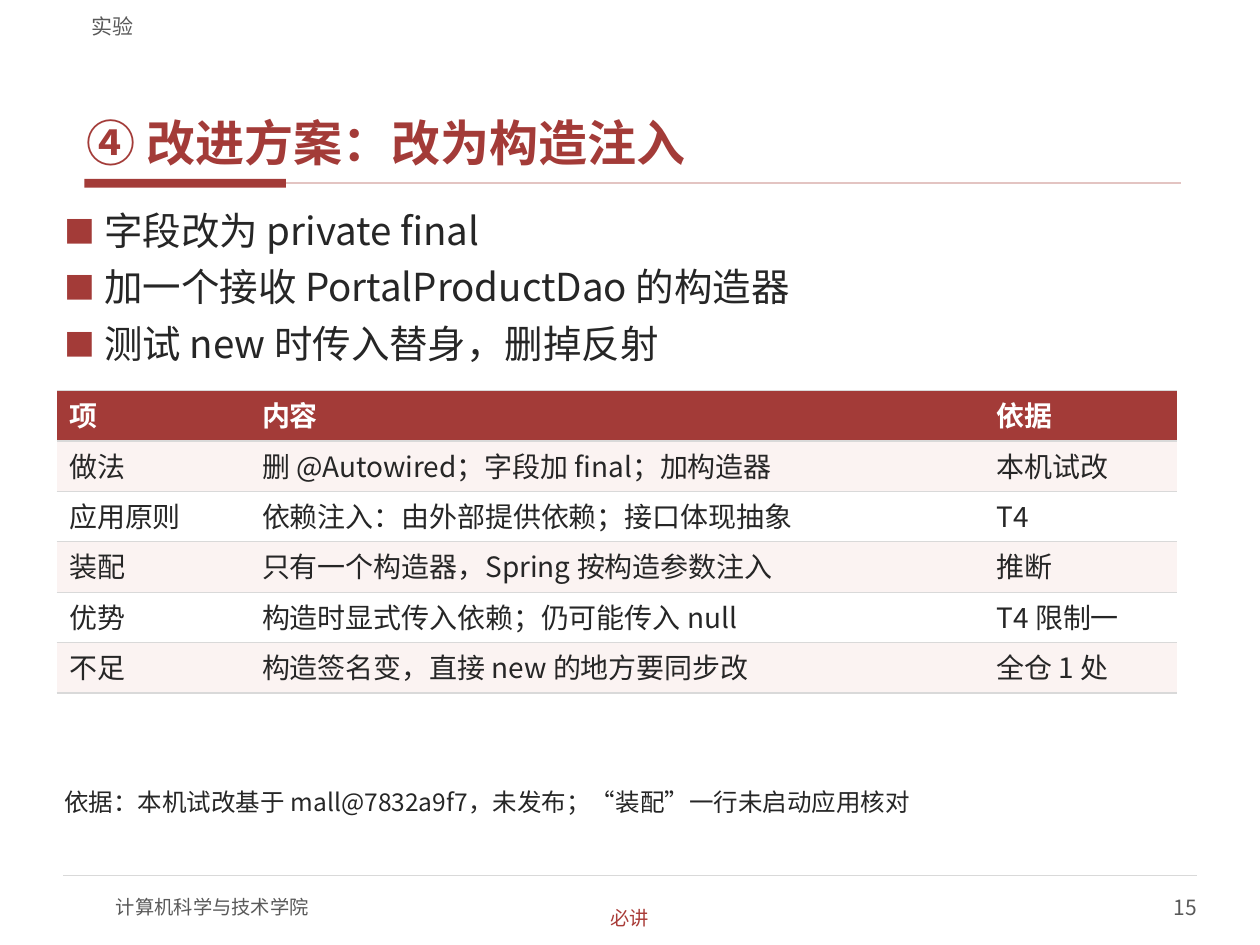
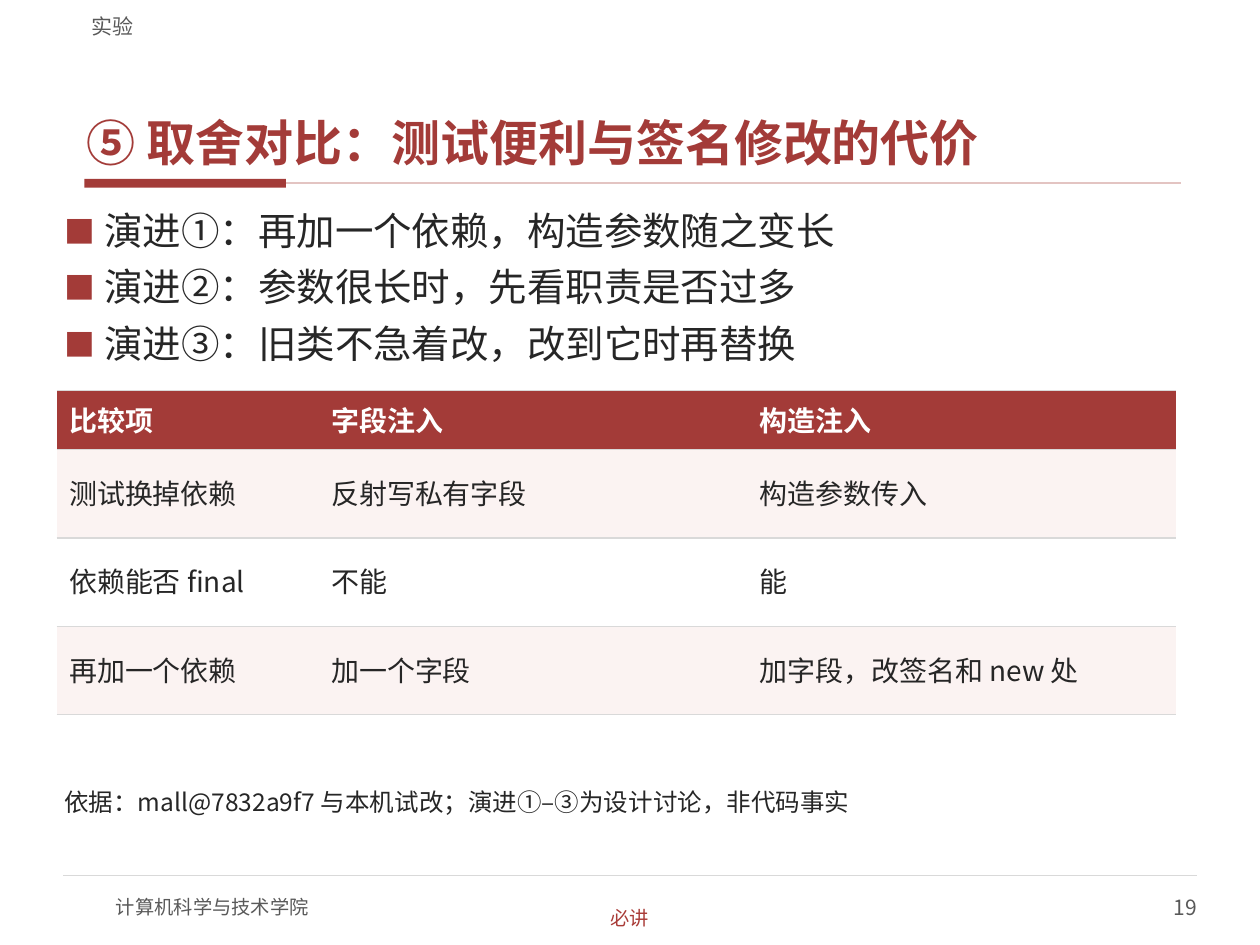
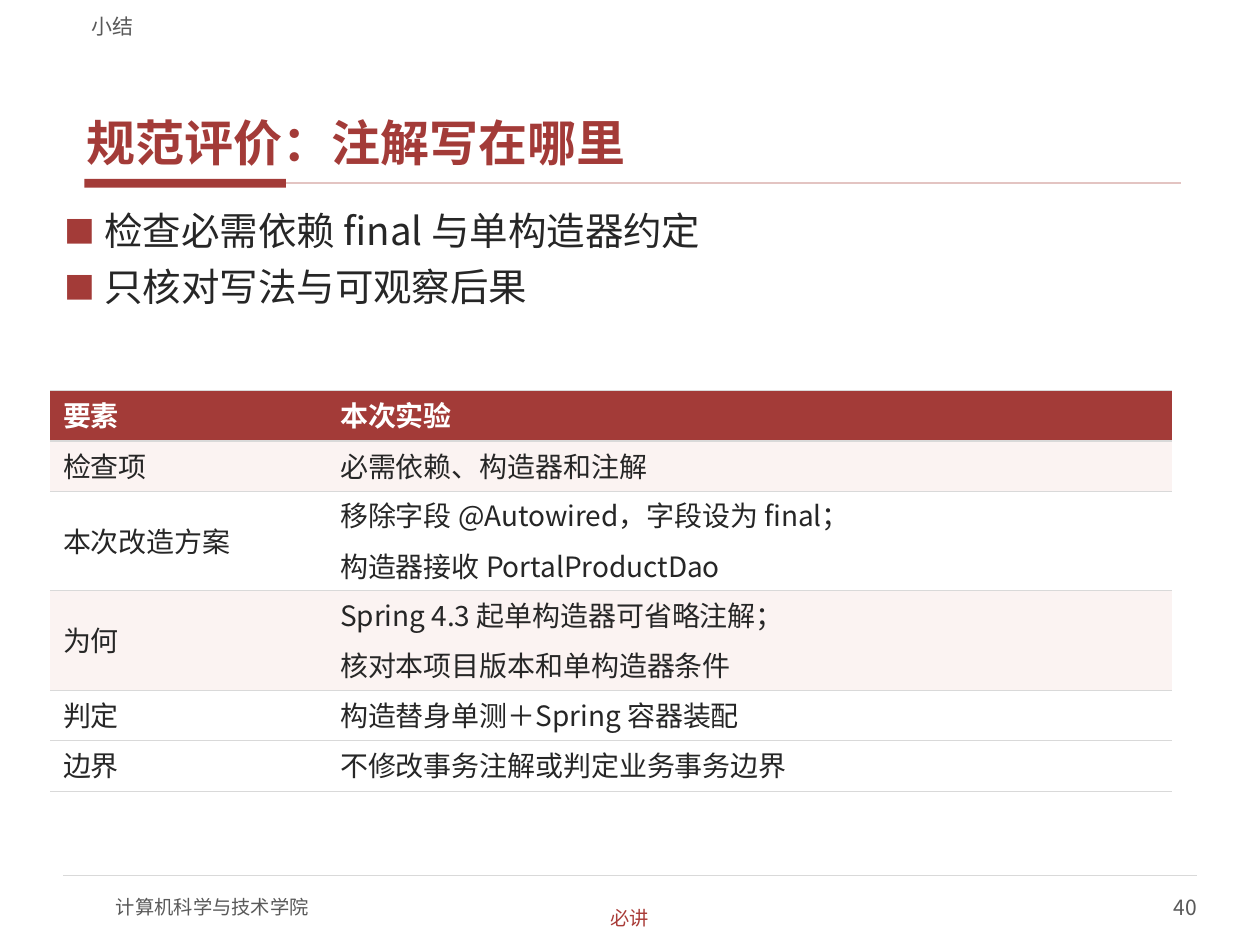
from dataclasses import dataclass
from pptx import Presentation, util as u
from pptx.dml.color import RGBColor
from pptx.enum import shapes, text
from pptx.oxml import parse_xml
from pptx.oxml.ns import nsdecls

PAGES = [
    dict(
        part="实验", num=15, title="④ 改进方案：改为构造注入",
        points=["字段改为 private final", "加一个接收 PortalProductDao 的构造器",
                "测试 new 时传入替身，删掉反射"],
        left=0.45, cols=(1.53, 5.83, 1.53), rows=(0.4,) * 6, tint=(1, 3, 5),
        grid=[
            ("项", "内容", "依据"),
            ("做法", "删 @Autowired；字段加 final；加构造器", "本机试改"),
            ("应用原则", "依赖注入：由外部提供依赖；接口体现抽象", "T4"),
            ("装配", "只有一个构造器，Spring 按构造参数注入", "推断"),
            ("优势", "构造时显式传入依赖；仍可能传入 null", "T4 限制一"),
            ("不足", "构造签名变，直接 new 的地方要同步改", "全仓 1 处"),
        ],
        note="依据：本机试改基于 mall@7832a9f7，未发布；“装配”一行未启动应用核对",
    ),
    dict(
        part="实验", num=19, title="⑤ 取舍对比：测试便利与签名修改的代价",
        points=["演进①：再加一个依赖，构造参数随之变长",
                "演进②：参数很长时，先看职责是否过多",
                "演进③：旧类不急着改，改到它时再替换"],
        left=0.45, cols=(2.08, 3.4, 3.4), rows=(0.47, 0.7, 0.7, 0.7), tint=(1, 3),
        grid=[
            ("比较项", "字段注入", "构造注入"),
            ("测试换掉依赖", "反射写私有字段", "构造参数传入"),
            ("依赖能否 final", "不能", "能"),
            ("再加一个依赖", "加一个字段", "加字段，改签名和 new 处"),
        ],
        note="依据：mall@7832a9f7 与本机试改；演进①–③为设计讨论，非代码事实",
    ),
    dict(
        part="小结", num=40, title="规范评价：注解写在哪里",
        points=["检查必需依赖 final 与单构造器约定", "只核对写法与可观察后果"],
        left=0.4, cols=(2.2, 6.7), rows=(0.4, 0.4, 0.79, 0.79, 0.4, 0.4), tint=(1, 3),
        grid=[
            ("要素", "本次实验"),
            ("检查项", "必需依赖、构造器和注解"),
            ("本次改造方案", "移除字段 @Autowired，字段设为 final；\n构造器接收 PortalProductDao"),
            ("为何", "Spring 4.3 起单构造器可省略注解；\n核对本项目版本和单构造器条件"),
            ("判定", "构造替身单测＋Spring 容器装配"),
            ("边界", "不修改事务注解或判定业务事务边界"),
        ],
        note=None,
    ),
]
SCHOOL = "计算机科学与技术学院"
TAG = "必讲"


@dataclass(frozen=True)
class Theme:
    face: str = "Noto Sans CJK SC"
    red: str = "A33B38"
    tag: str = "A93B37"
    rose: str = "E3C4C2"
    tint: str = "FBF3F2"
    white: str = "FFFFFF"
    ink: str = "262626"
    gray: str = "595959"
    rule: str = "D9D9D9"
    head: int = 28
    body: int = 22
    cell: int = 16
    note: int = 14
    small: int = 12
    tiny: int = 11


T = Theme()
MID, LOW, TOP = (text.MSO_ANCHOR.MIDDLE, text.MSO_ANCHOR.BOTTOM, text.MSO_ANCHOR.TOP)
LEFT, RIGHT, MIDST = (text.PP_ALIGN.LEFT, text.PP_ALIGN.RIGHT, text.PP_ALIGN.CENTER)
PAD = (0.06, 0.02)
BULLET = (
    f'<a:buClr {nsdecls("a")}><a:srgbClr val="{T.red}"/></a:buClr>',
    f'<a:buSzPct {nsdecls("a")} val="80000"/>',
    f'<a:buFont {nsdecls("a")} typeface="{T.face}"/>',
    f'<a:buChar {nsdecls("a")} char="■"/>',
)


def rgb(code):
    return RGBColor.from_string(code)


def assign(obj, **vals):
    for key, val in vals.items():
        setattr(obj, key, val)


def write(frame, lines, size, color, bold=False, align=LEFT, gap=(0, 0), lead=None, mark=False):
    for i, line in enumerate(lines):
        para = frame.paragraphs[0] if i == 0 else frame.add_paragraph()
        if mark:
            ppr = para._p.get_or_add_pPr()
            for key, val in (("marL", 0.32), ("indent", -0.32)):
                ppr.set(key, str(u.Inches(val)))
            for item in BULLET:
                ppr.append(parse_xml(item))
        assign(para, alignment=align, space_before=u.Pt(gap[0] if i else 0),
               space_after=u.Pt(gap[1]), line_spacing=lead)
        run = para.add_run()
        run.text = line
        assign(run.font, name=T.face, size=u.Pt(size), bold=bold)
        run.font.color.rgb = rgb(color)
        rpr = run._r.get_or_add_rPr()
        rpr.set("lang", "zh-CN")
        rpr.append(parse_xml(f'<a:ea {nsdecls("a")} typeface="{T.face}"/>'))


def label(page, box, lines, size, color, anchor=MID, pad=(0, 0), wrap=True, **look):
    frame = page.shapes.add_textbox(*map(u.Inches, box)).text_frame
    x, y = map(u.Inches, pad)
    assign(frame, word_wrap=wrap, vertical_anchor=anchor, margin_left=x,
           margin_right=x, margin_top=y, margin_bottom=y)
    write(frame, lines, size, color, **look)


def rule(page, x, end, y, color, width):
    line = page.shapes.add_connector(shapes.MSO_CONNECTOR.STRAIGHT, *map(u.Inches, (x, y, end, y)))
    line.line.color.rgb = rgb(color)
    line.line.width = u.Pt(width)
    line._element.spPr.append(parse_xml(f'<a:effectLst {nsdecls("a")}/>'))


def edges(cell):
    tcpr = cell._tc.get_or_add_tcPr()
    for side in "LRTB":
        flat = side in "LR"
        fill = "<a:noFill/>" if flat else f'<a:solidFill><a:srgbClr val="{T.rule}"/></a:solidFill>'
        width = 0 if flat else u.Pt(0.75)
        tcpr.append(parse_xml(f'<a:ln{side} {nsdecls("a")} w="{width}">{fill}</a:ln{side}>'))


def frame_page(page, data):
    bar = page.shapes.add_shape(shapes.MSO_SHAPE.RECTANGLE, *map(u.Inches, (0.67, 1.42, 1.6, 0.07)))
    bar.shadow.inherit = False
    bar.fill.solid()
    bar.fill.fore_color.rgb = rgb(T.red)
    bar.line.fill.background()
    rule(page, 2.27, 9.37, 1.455, T.rose, 1)
    rule(page, 0.5, 9.5, 6.95, T.rule, 0.75)
    label(page, (0.92, 7, 4, 0.4), [SCHOOL], T.tiny, T.gray)
    label(page, (7.5, 7, 2, 0.4), [str(data["num"])], T.small, T.gray, align=RIGHT)
    label(page, (0.63, 0.33, 8.75, 1.05), [data["title"]], T.head, T.red, LOW, PAD,
          bold=True, gap=(6, 2))
    label(page, (0.63, 0.04, 8.75, 0.27), [data["part"]], T.small, T.gray, LOW, (0.1, 0))
    label(page, (4.4, 7.18, 1.2, 0.21), [TAG], T.tiny, T.tag, wrap=False, align=MIDST)


def table(page, data):
    cols, rows = data["cols"], data["rows"]
    box = map(u.Inches, (data["left"], 3.1, sum(cols), sum(rows)))
    grid = page.shapes.add_table(len(rows), len(cols), *box).table
    for col, width in zip(grid.columns, cols):
        col.width = u.Inches(width)
    for r, (row, high) in enumerate(zip(grid.rows, rows)):
        row.height = u.Inches(high)
        head = r == 0
        back = T.red if head else T.tint if r in data["tint"] else T.white
        for cell, words in zip(row.cells, data["grid"][r]):
            edges(cell)
            cell.fill.solid()
            cell.fill.fore_color.rgb = rgb(back)
            cell.vertical_anchor = MID
            write(cell.text_frame, words.split("\n"), T.cell, T.white if head else T.ink,
                  bold=head, gap=(6, 2), lead=0.9)


def main():
    deck = Presentation()
    assign(deck, slide_width=u.Inches(10), slide_height=u.Inches(7.5))
    for data in PAGES:
        page = deck.slides.add_slide(deck.slide_layouts[6])
        frame_page(page, data)
        label(page, (0.45, 1.62, 9.1, 1.37), data["points"], T.body, T.ink, TOP, PAD,
              gap=(4, 2), mark=True)
        table(page, data)
        if data["note"]:
            label(page, (0.45, 6.23, 9.1, 0.5), [data["note"]], T.note, T.ink, TOP, PAD, gap=(2, 2))
    deck.save("out.pptx")


if __name__ == "__main__":
    main()
